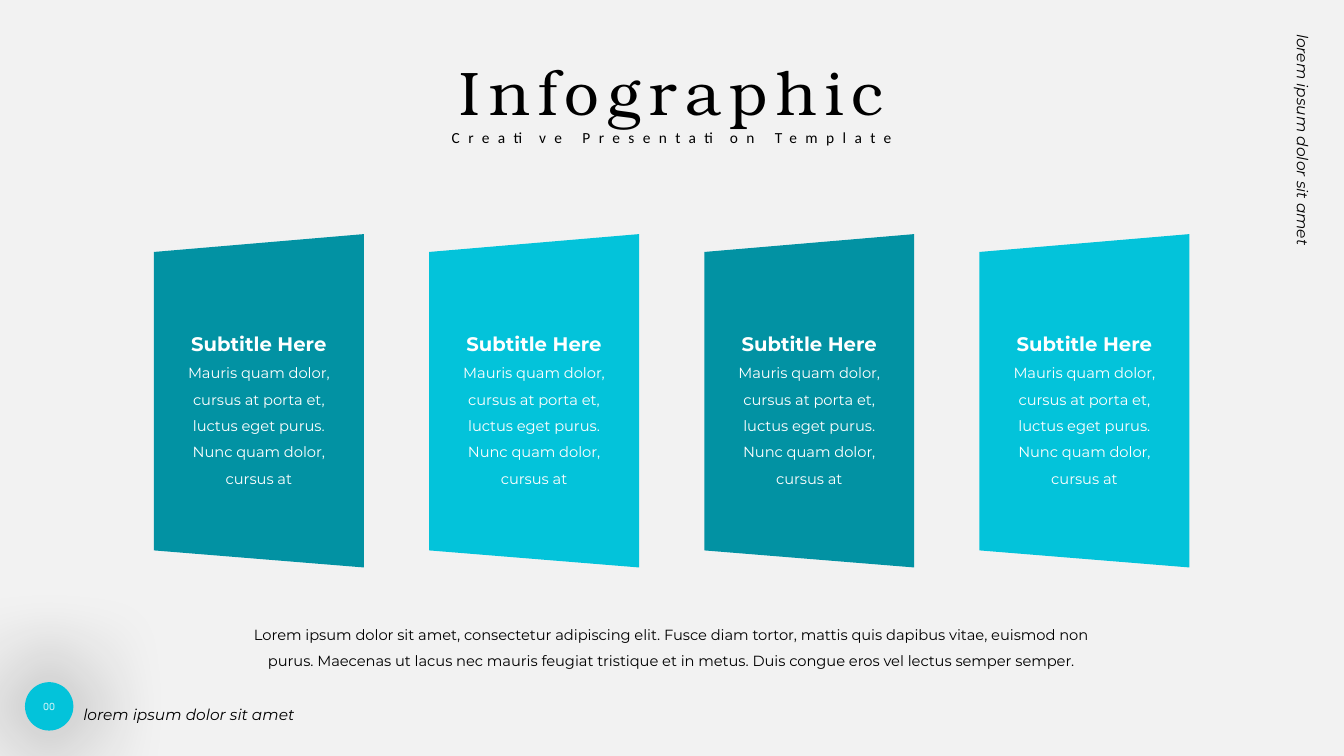
import lxml.etree
import pptx
import pptx.dml.color
import pptx.enum.shapes
import pptx.enum.text
import pptx.oxml.ns
import pptx.util

Cm = pptx.util.Cm
Pt = pptx.util.Pt
ALIGN = pptx.enum.text.PP_ALIGN
COLORS = {
    "background": "F2F2F2",
    "teal": "0292A3",
    "cyan": "03C3DA",
    "white": "FFFFFF",
    "black": "000000",
}
TAGLINE = "lorem ipsum dolor sit amet"
PANEL_TEXT = ("Mauris quam dolor, cursus at porta et, luctus eget purus. "
              "Nunc quam dolor, cursus at")
SUMMARY = ("Lorem ipsum dolor sit amet, consectetur adipiscing elit. Fusce diam tortor, "
           "mattis quis dapibus vitae, euismod non purus. Maecenas ut lacus nec mauris "
           "feugiat tristique et in metus. Duis congue eros vel lectus semper semper.")


def color(name):
    return pptx.dml.color.RGBColor.from_string(COLORS[name])


class SlideBuilder:
    font = "Montserrat"

    def __init__(self, slide):
        self.slide = slide
        slide.background.fill.solid()
        slide.background.fill.fore_color.rgb = color("background")

    def paint(self, shape, fill):
        shape.shadow.inherit = False
        shape.fill.solid()
        shape.fill.fore_color.rgb = color(fill)
        shape.line.fill.background()

    def format(self, paragraph, size, ink="black", font=None, align=ALIGN.LEFT,
               line_spacing=None, bold=False, italic=False, tracking=0):
        """Style a paragraph and its runs; tracking is in points."""
        paragraph.alignment = align
        if line_spacing:
            paragraph.line_spacing = line_spacing
        for run in paragraph.runs:
            run.font.name = font or self.font
            run.font.size = Pt(size)
            run.font.bold = bold
            run.font.italic = italic
            run.font.color.rgb = color(ink)
            if tracking:
                run.font._element.set("spc", str(tracking * 100))

    def text(self, left, top, width, height, lines, insets=(0.25, 0.13),
             wrap=True, rotation=0):
        """Add a text box; lines holds pairs of wording and style."""
        box = self.slide.shapes.add_textbox(Cm(left), Cm(top), Cm(width), Cm(height))
        box.rotation = rotation
        frame = box.text_frame
        frame.word_wrap = wrap
        frame.margin_left = frame.margin_right = Cm(insets[0])
        frame.margin_top = frame.margin_bottom = Cm(insets[1])
        frame.text = "\n".join(wording for wording, style in lines)
        for paragraph, (wording, style) in zip(frame.paragraphs, lines):
            self.format(paragraph, **style)

    def panel(self, left, fill):
        """Add a slanted panel, taller on its right side, with its text."""
        right = left + 5.29
        corners = [(Cm(x), Cm(y)) for x, y in
                   ((left, 6.35), (right, 5.9), (right, 14.3), (left, 13.87))]
        builder = self.slide.shapes.build_freeform(*corners[0], scale=1.0)
        builder.add_line_segments(corners[1:], close=True)
        self.paint(builder.convert_to_shape(), fill)
        style = dict(ink="white", align=ALIGN.CENTER, line_spacing=1.5)
        self.text(left + 0.5, 7.98, 4.29, 4.32, [
            ("Subtitle Here", dict(style, size=14, bold=True)),
            (PANEL_TEXT, dict(style, size=10.5)),
        ], insets=(0.13, 0.08))

    def page_badge(self, left, top, diameter, number):
        badge = self.slide.shapes.add_shape(
            pptx.enum.shapes.MSO_SHAPE.OVAL, Cm(left), Cm(top), Cm(diameter), Cm(diameter))
        self.paint(badge, "cyan")
        qn = pptx.oxml.ns.qn
        effects = badge._element.spPr.find(qn("a:effectLst"))
        shadow = lxml.etree.SubElement(effects, qn("a:outerShdw"),
                                       blurRad=str(Pt(72)), algn="ctr", rotWithShape="0")
        shade = lxml.etree.SubElement(shadow, qn("a:srgbClr"), val=COLORS["black"])
        lxml.etree.SubElement(shade, qn("a:alpha"), val="94000")
        frame = badge.text_frame
        frame.word_wrap = False
        frame.vertical_anchor = pptx.enum.text.MSO_ANCHOR.MIDDLE
        frame.text = number
        self.format(frame.paragraphs[0], 7, "white", "Manrope", ALIGN.CENTER)


def main():
    presentation = pptx.Presentation()
    presentation.slide_width = Cm(33.87)
    presentation.slide_height = Cm(19.05)
    builder = SlideBuilder(presentation.slides.add_slide(presentation.slide_layouts[6]))

    for index, fill in enumerate(("teal", "cyan") * 2):
        builder.panel(3.88 + index * 6.935, fill)

    builder.text(5.84, 15.47, 22.17, 1.85, [
        (SUMMARY, dict(size=10.5, align=ALIGN.CENTER, line_spacing=1.5)),
    ], insets=(0.08, 0.08))

    heading = dict(align=ALIGN.CENTER, tracking=6)
    builder.text(10.95, 3.1, 11.96, 0.74, [
        ("Creative Presentation Template", dict(heading, size=11, font="Calibri")),
    ], wrap=False)
    builder.text(11.33, 1.22, 11.23, 2.13, [
        ("Infographic", dict(heading, size=44, font="TeX Gyre Bonum")),
    ], wrap=False)

    tagline = [(TAGLINE, dict(size=11, italic=True, line_spacing=1.5))]
    builder.text(28.88, 4.19, 8.13, 0.97, tagline, rotation=90)
    builder.page_badge(0.63, 17.19, 1.22, "00")
    builder.text(1.85, 17.4, 8.13, 0.97, tagline)

    presentation.save("out.pptx")


if __name__ == "__main__":
    main()
